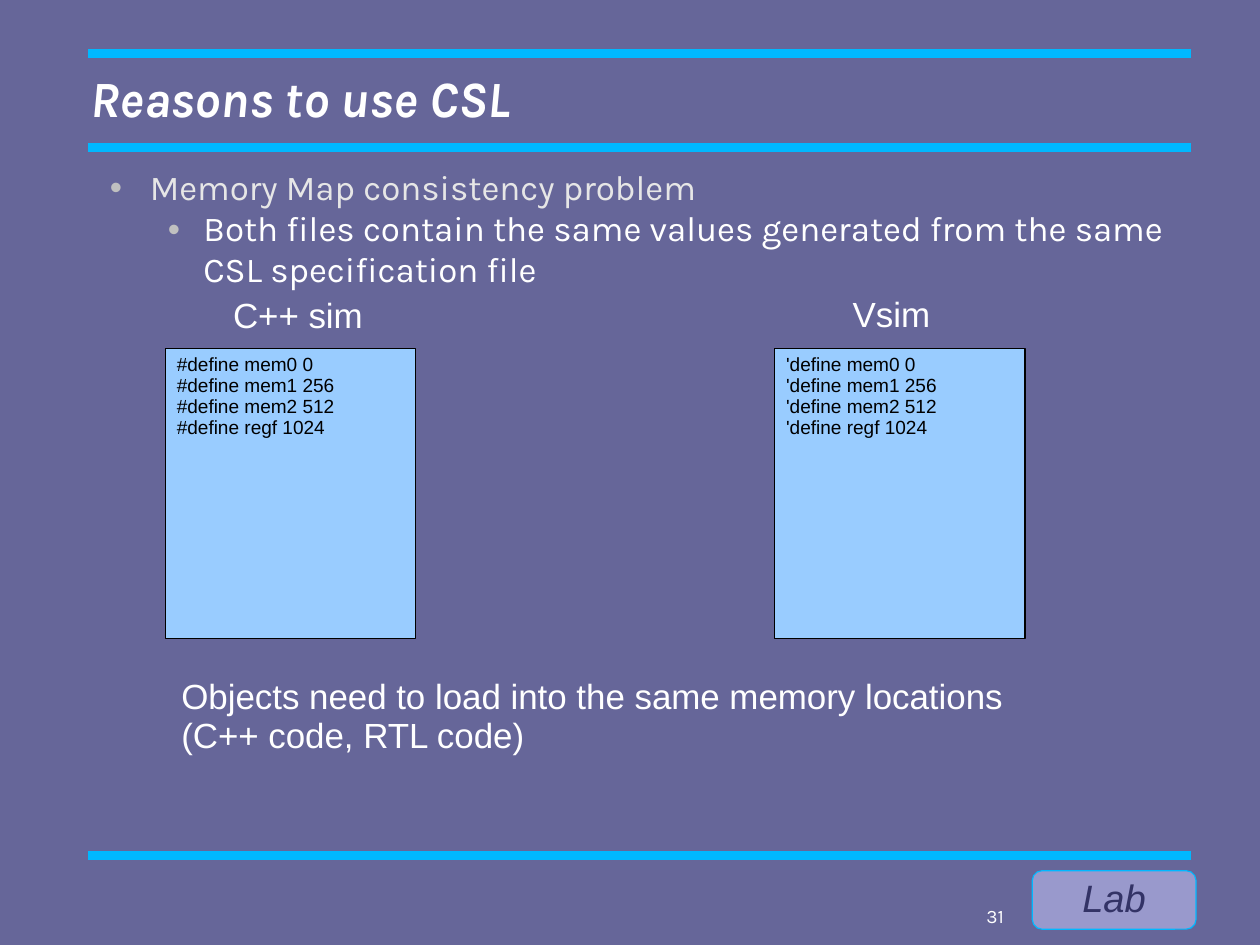
from lxml import etree
from pptx import Presentation
from pptx.dml.color import RGBColor
from pptx.enum.shapes import MSO_CONNECTOR, MSO_SHAPE
from pptx.enum.text import MSO_ANCHOR, MSO_AUTO_SIZE, PP_ALIGN
from pptx.oxml.ns import qn
from pptx.util import Cm, Pt

STRAIGHT = MSO_CONNECTOR.STRAIGHT
RECTANGLE, ROUNDED = MSO_SHAPE.RECTANGLE, MSO_SHAPE.ROUNDED_RECTANGLE
TOP, MIDDLE = MSO_ANCHOR.TOP, MSO_ANCHOR.MIDDLE
LEFT, CENTER, RIGHT = PP_ALIGN.LEFT, PP_ALIGN.CENTER, PP_ALIGN.RIGHT
NO_FIT = MSO_AUTO_SIZE.NONE

BACKGROUND, RULE, WHITE = "666699", "00B8FF", "FFFFFF"
TITLE_FONT = {"name": "Karla", "size": Pt(32), "bold": True, "italic": True}
BULLET_FONT = {"name": "Karla", "size": Pt(22)}
NUMBER_FONT = {"name": "Karla", "size": Pt(12)}
CAPTION_FONT = {"name": "Arial", "size": Pt(22)}
CODE_FONT = {"name": "Arial", "size": Pt(12)}
BADGE_FONT = {"name": "Arial", "size": Pt(24), "italic": True}
PADDING = (0.25, 0.13)


def rgb(color):
    return RGBColor.from_string(color)


def place(part, box):
    for side, length in zip(("left", "top", "width", "height"), box):
        setattr(part, side, Cm(length))


def write(part, lines, font, color, align=LEFT, anchor=TOP, spacing=0.93,
          padding=(0, 0), wrap=True):
    """Fill a shape with one paragraph per line and return the paragraphs."""
    frame = part.text_frame
    across, down = Cm(padding[0]), Cm(padding[1])
    layout = {"margin_left": across, "margin_right": across,
              "margin_top": down, "margin_bottom": down,
              "auto_size": NO_FIT, "word_wrap": wrap,
              "vertical_anchor": anchor}
    for key, value in layout.items():
        setattr(frame, key, value)
    frame.text = "\n".join(lines)
    for paragraph in frame.paragraphs:
        paragraph.alignment = align
        paragraph.line_spacing = spacing
        for run in paragraph.runs:
            for key, value in font.items():
                setattr(run.font, key, value)
            run.font.color.rgb = rgb(color)
    return frame.paragraphs


def add_text(slide, box, lines, font, **options):
    label = slide.shapes.add_textbox(*map(Cm, box))
    return write(label, lines, font, WHITE, **options)


def add_panel(slide, kind, box, fill, outline):
    panel = slide.shapes.add_shape(kind, *map(Cm, box))
    panel.shadow.inherit = False
    panel.fill.solid()
    panel.fill.fore_color.rgb = rgb(fill)
    panel.line.color.rgb = rgb(outline)
    panel.line.width = Pt(0.75)
    return panel


def add_rules(slide, left, right, heights):
    for y in heights:
        rule = slide.shapes.add_connector(STRAIGHT, Cm(left), Cm(y), Cm(right), Cm(y))
        rule.line.color.rgb = rgb(RULE)
        rule.line.width = Pt(5.67)
        etree.SubElement(rule._element.spPr, qn("a:effectLst"))


def add_title(slide, box, text):
    title = slide.shapes.title
    place(title, box)
    write(title, [text], TITLE_FONT, WHITE, anchor=MIDDLE, spacing=0.98)


def add_bullets(slide, box, bullets):
    """Each bullet is (text, level, colour, text indent, hanging indent)."""
    paragraphs = add_text(slide, box, [bullet[0] for bullet in bullets],
                          BULLET_FONT, spacing=0.98)
    for paragraph, (_, level, color, indent, hanging) in zip(paragraphs, bullets):
        paragraph.level = level
        paragraph.runs[0].font.color.rgb = rgb(color)
        properties = paragraph._p.get_or_add_pPr()
        properties.set("marL", str(Cm(indent)))
        properties.set("indent", str(-Cm(hanging)))
        bullet_color = etree.SubElement(properties, qn("a:buClr"))
        etree.SubElement(bullet_color, qn("a:srgbClr"), val="C0C0C0")
        etree.SubElement(properties, qn("a:buFont"), typeface="Arial")
        etree.SubElement(properties, qn("a:buChar"), char="•")


def add_memory_map(slide, box, prefix, caption, caption_box):
    """A file panel listing the memory map, with its caption above."""
    entries = ("mem0 0", "mem1 256", "mem2 512", "regf 1024")
    panel = add_panel(slide, RECTANGLE, box, "99CCFF", "000000")
    write(panel, [f"{prefix}define {entry}" for entry in entries],
          CODE_FONT, "000000", padding=PADDING, wrap=False)
    dx, dy, width, height = caption_box
    add_text(slide, (box[0] + dx, box[1] + dy, width, height), [caption],
             CAPTION_FONT, padding=PADDING)


def add_footer(slide, left, top):
    # Badge and page number
    badge = add_panel(slide, ROUNDED, (left + 2.87, top, 3.64, 1.3), "9999CC", RULE)
    badge.adjustments[0] = 0.167
    write(badge, ["Lab"], BADGE_FONT, "333366", align=CENTER, anchor=MIDDLE)
    add_text(slide, (left, top + 0.79, 2.24, 0.58), ["31"], NUMBER_FONT,
             align=RIGHT, spacing=0.95)


def build_slide(prs):
    slide = prs.slides.add_slide(prs.slide_layouts[5])
    slide.background.fill.solid()
    slide.background.fill.fore_color.rgb = rgb(BACKGROUND)

    # Frame of the slide
    add_rules(slide, 1.96, 26.46, (1.19, 3.27, 19))
    add_title(slide, (2.01, 0.71, 23.9, 3), "Reasons to use CSL")

    # Problem statement
    add_bullets(slide, (2.13, 3.73, 24.36, 3), [
        ("Memory Map consistency problem", 0, "E6E6E6", 1.2, 0.89),
        ("Both files contain the same values generated from the same "
         "CSL specification file", 1, WHITE, 2.39, 0.79)])

    # Generated files
    add_memory_map(slide, (3.68, 7.74, 5.56, 6.46), "#", "C++ sim",
                   (1.25, -1.26, 3.4, 1.4))
    add_memory_map(slide, (17.22, 7.74, 5.56, 6.46), "'", "Vsim",
                   (1.48, -1.29, 2.24, 1.4))

    # Conclusion
    add_text(slide, (3.78, 14.94, 21.7, 2.57),
             ["Objects need to load into the same memory locations",
              "(C++ code, RTL code)"], CAPTION_FONT, padding=PADDING)

    add_footer(slide, 20.07, 19.35)


def main():
    prs = Presentation()
    prs.slide_width, prs.slide_height = Cm(28), Cm(21)
    build_slide(prs)
    prs.save("out.pptx")


if __name__ == "__main__":
    main()
